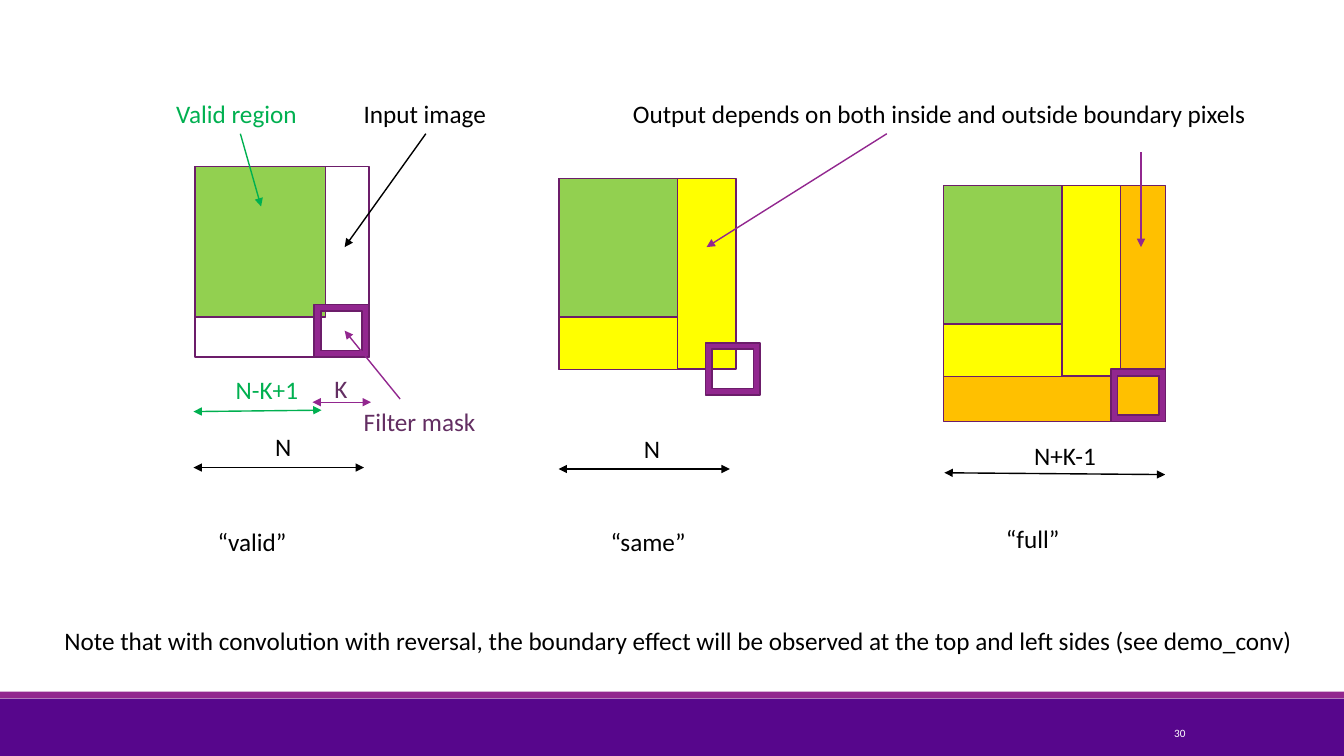
import pptx
import pptx.dml.color
import pptx.enum.dml
import pptx.enum.shapes
import pptx.enum.text
import pptx.oxml.ns
import pptx.util
from lxml import etree

Pt = pptx.util.Pt
RGBColor = pptx.dml.color.RGBColor
Shape = pptx.enum.shapes.MSO_SHAPE

BLACK = RGBColor(0x00, 0x00, 0x00)
WHITE = RGBColor(0xFF, 0xFF, 0xFF)
FOOTER = RGBColor(0x57, 0x06, 0x8C)
PURPLE = RGBColor(0x92, 0x27, 0x8F)
OUTLINE = RGBColor(0x6C, 0x1D, 0x6A)
PLUM = RGBColor(0x63, 0x2E, 0x62)
LEAF = RGBColor(0x92, 0xD0, 0x50)
GREEN = RGBColor(0x00, 0xB0, 0x50)
YELLOW = RGBColor(0xFF, 0xFF, 0x00)
ORANGE = RGBColor(0xFF, 0xC0, 0x00)

# Content: all lengths in points
PAGE_WIDTH, PAGE_HEIGHT = 960, 540
IMAGE_WIDTH, IMAGE_HEIGHT = 124, 136
MASK_WIDTH, MASK_HEIGHT = 39, 37.5
CORE_WIDTH, CORE_HEIGHT = 84.5, 99
FULL_WIDTH, FULL_HEIGHT = 158.5, 168.5

# Regions: x and y within the panel, width, height, fill
IMAGE_OUTLINE = (0, 0, IMAGE_WIDTH, IMAGE_HEIGHT, None)
SAME_REGIONS = [
    IMAGE_OUTLINE,
    (CORE_WIDTH, 0, 42, IMAGE_HEIGHT, YELLOW),
    (0, CORE_HEIGHT, CORE_WIDTH, IMAGE_HEIGHT + 0.5 - CORE_HEIGHT, YELLOW),
    (0, 0, CORE_WIDTH, CORE_HEIGHT, LEAF),
]
FULL_REGIONS = [
    (IMAGE_WIDTH, 0, FULL_WIDTH - IMAGE_WIDTH, IMAGE_HEIGHT, ORANGE),
    (0, IMAGE_HEIGHT + 0.5, FULL_WIDTH, FULL_HEIGHT - IMAGE_HEIGHT - 0.5, ORANGE),
]
VALID_REGIONS = [IMAGE_OUTLINE, (0, 0, 93, 107.5, LEAF)]

# Panels: left, top, regions, mask position within the panel
PANELS = [
    (139.5, 119, VALID_REGIONS,
     (IMAGE_WIDTH - MASK_WIDTH, IMAGE_HEIGHT - MASK_HEIGHT)),
    (399.5, 127.5, SAME_REGIONS,
     (IMAGE_WIDTH - MASK_WIDTH / 2, IMAGE_HEIGHT - MASK_HEIGHT / 2)),
    (674, 132.5, FULL_REGIONS + SAME_REGIONS,
     (FULL_WIDTH - MASK_WIDTH, FULL_HEIGHT - MASK_HEIGHT)),
]

# Labels: text, left, top, width, colour
LABEL_HEIGHT = 29
LABELS = [
    ("Valid region", 118.8, 66.5, 105.8, GREEN),
    ("Input image", 252.7, 66.5, 103, BLACK),
    ("Output depends on both inside and outside boundary pixels",
     445, 66.5, 458, BLACK),
    ("Filter mask", 252.7, 286.5, 95, PLUM),
    ("N-K+1", 161.3, 263.5, 59.8, GREEN),
    ("K", 231.8, 263, 23.8, PLUM),
    ("N", 189.4, 304.6, 25.9, BLACK),
    ("N", 452.9, 306, 25.9, BLACK),
    ("N+K-1", 731.5, 311, 59, BLACK),
    ("“valid”", 148.3, 372.3, 64, BLACK),
    ("“same”", 429, 372.3, 68.4, BLACK),
    ("“full”", 711.4, 370, 53.3, BLACK),
    ("Note that with convolution with reversal, the boundary effect will be "
     "observed at the top and left sides (see demo_conv)",
     38.9, 442.8, 903.6, BLACK),
]

# Pointers: start, end, colour, label whose lower edge they leave from
POINTERS = [
    ((171.5, 95.5), (186.5, 147.5), GREEN, "Valid region"),
    ((304.5, 95.5), (246.2, 176.5), BLACK, "Input image"),
    ((633.5, 95.5), (504.7, 176.5), PURPLE, None),
    ((815, 108.7), (815, 176.5), PURPLE, None),
    ((285.8, 285), (246.2, 236.2), PURPLE, None),
]
# Dimension lines: start, end, colour
DIMENSIONS = [
    ((138.2, 294), (229.7, 293), GREEN),
    ((223.2, 287.3), (265, 287.3), PURPLE),
    ((138.2, 334), (260, 334), BLACK),
    ((399, 335), (521.3, 335), BLACK),
    ((674.6, 337.7), (832.3, 339), BLACK),
]


def add_block(page, kind, left, top, width, height, fill, outline=OUTLINE):
    block = page.shapes.add_shape(kind, Pt(left), Pt(top), Pt(width), Pt(height))
    block.shadow.inherit = False
    if fill is None:
        block.fill.background()
    else:
        block.fill.solid()
        block.fill.fore_color.rgb = fill
    if outline is None:
        block.line.fill.background()
    else:
        block.line.color.rgb = outline
        block.line.width = Pt(1.25)


def add_text(page, text, left, top, width, height, color, size=18):
    box = page.shapes.add_textbox(Pt(left), Pt(top), Pt(width), Pt(height))
    box.text_frame.word_wrap = False
    span = box.text_frame.paragraphs[0].add_run()
    span.text = text
    span.font.name = "Calibri"
    span.font.size = Pt(size)
    span.font.color.rgb = color
    return box


def add_arrow(page, start, end, color, ends):
    arrow = page.shapes.add_connector(
        pptx.enum.shapes.MSO_CONNECTOR.STRAIGHT,
        *[Pt(value) for value in start + end])
    arrow.line.color.rgb = color
    arrow.line.width = Pt(1)
    line = arrow.line._get_or_add_ln()
    for name in ends:
        etree.SubElement(line, pptx.oxml.ns.qn("a:" + name), type="triangle")
    etree.SubElement(arrow._element.spPr, pptx.oxml.ns.qn("a:effectLst"))
    return arrow


def main():
    deck = pptx.Presentation()
    deck.slide_width, deck.slide_height = Pt(PAGE_WIDTH), Pt(PAGE_HEIGHT)
    page = deck.slides.add_slide(deck.slide_layouts[6])

    # Footer bands and page number
    add_block(page, Shape.RECTANGLE, 0, 499, PAGE_WIDTH, 41, FOOTER, None)
    add_block(page, Shape.RECTANGLE, 0, 494, PAGE_WIDTH, 5, PURPLE, None)
    number = add_text(page, "30", 774, 512.6, 77.8, 21.6, WHITE, 8)
    frame = number.text_frame
    frame.word_wrap = True
    frame.vertical_anchor = pptx.enum.text.MSO_ANCHOR.MIDDLE
    frame.margin_left = frame.margin_right = Pt(5)
    frame.margin_top = frame.margin_bottom = Pt(3)
    frame.paragraphs[0].alignment = pptx.enum.text.PP_ALIGN.RIGHT

    # Three convolution panels, each with its filter mask on top
    for left, top, regions, (mask_x, mask_y) in PANELS:
        for x, y, width, height, fill in regions:
            add_block(page, Shape.RECTANGLE, left + x, top + y, width, height, fill)
        add_block(page, Shape.FRAME, left + mask_x, top + mask_y,
                  MASK_WIDTH, MASK_HEIGHT, PURPLE)

    # Labels
    boxes = {}
    for text, left, top, width, color in LABELS:
        boxes[text] = add_text(page, text, left, top, width, LABEL_HEIGHT, color)

    # Pointers and dimension lines
    for start, end, color, label in POINTERS:
        arrow = add_arrow(page, start, end, color, ["tailEnd"])
        if label:
            arrow.begin_connect(boxes[label], 2)
    for start, end, color in DIMENSIONS:
        add_arrow(page, start, end, color, ["headEnd", "tailEnd"])

    deck.save("out.pptx")


if __name__ == "__main__":
    main()
